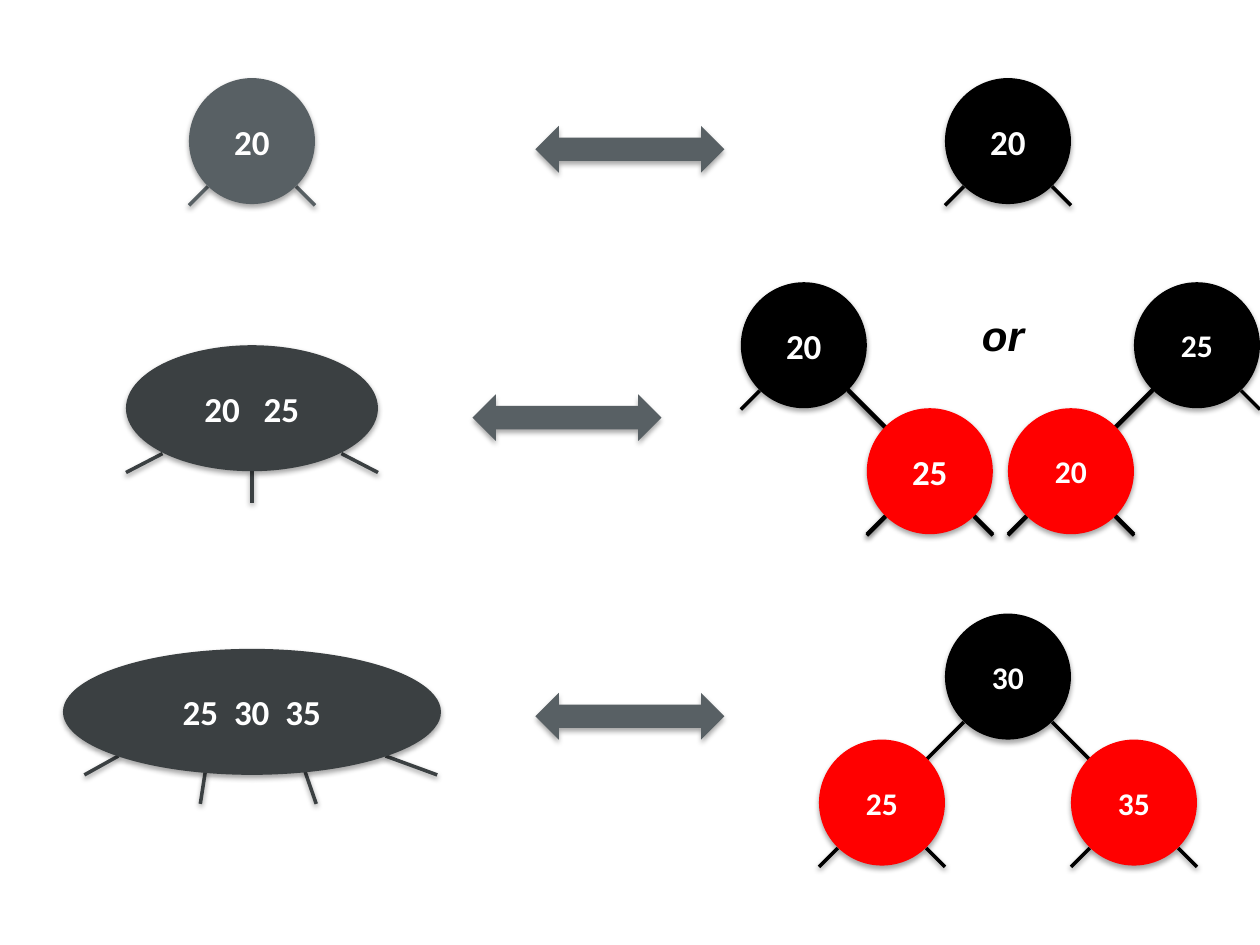
from lxml import etree
from pptx import Presentation
from pptx.dml.color import RGBColor
from pptx.enum.shapes import MSO_CONNECTOR, MSO_SHAPE
from pptx.enum.text import MSO_ANCHOR, PP_ALIGN
from pptx.oxml import parse_xml
from pptx.util import Inches, Pt

COLORS = {"black": "000000", "red": "FF0000", "grey": "586064",
          "dark": "3B4042", "white": "FFFFFF"}
SHADOW = (
    '<a:effectLst xmlns:a="http://schemas.openxmlformats.org/drawingml/2006/main">'
    '<a:outerShdw blurRad="{blur}" dist="{dist}" dir="5400000" rotWithShape="0">'
    '<a:srgbClr val="000000"><a:alpha val="{alpha}"/></a:srgbClr>'
    '</a:outerShdw></a:effectLst>')
LINE_SHADOW = SHADOW.format(blur=Pt(3.1), dist=Pt(1.6), alpha=38000)
SHAPE_SHADOW = SHADOW.format(blur=Pt(3.1), dist=Pt(1.8), alpha=35000)

prs = Presentation()
prs.slide_width, prs.slide_height = Inches(10), Inches(7.5)
shapes = prs.slides.add_slide(prs.slide_layouts[6]).shapes


def add_edge(x1, y1, x2, y2, color):
    """Draw a shadowed tree edge."""
    edge = shapes.add_connector(MSO_CONNECTOR.STRAIGHT, Inches(x1), Inches(y1),
                                Inches(x2), Inches(y2))
    edge.line.color.rgb = RGBColor.from_string(COLORS[color])
    edge.line.width = Pt(2)
    edge._element.spPr.append(parse_xml(LINE_SHADOW))


def add_solid(kind, left, top, width, height, color, text="", size=20):
    """Draw a shadowed shape with optional bold white text."""
    solid = shapes.add_shape(kind, Inches(left), Inches(top),
                             Inches(width), Inches(height))
    solid.fill.solid()
    solid.fill.fore_color.rgb = RGBColor.from_string(COLORS[color])
    solid.line.fill.background()
    solid._element.spPr.append(parse_xml(SHAPE_SHADOW))
    if text:
        solid.text_frame.vertical_anchor = MSO_ANCHOR.MIDDLE
        paragraph = solid.text_frame.paragraphs[0]
        paragraph.alignment = PP_ALIGN.CENTER
        run = paragraph.add_run()
        run.text = text
        run.font.color.rgb = RGBColor.from_string(COLORS["white"])
        for name, value in {"name": "Calibri", "size": Pt(size), "bold": True}.items():
            setattr(run.font, name, value)


# Equivalence arrows: left, top
for left, top in [(4.25, 1), (3.75, 3.13), (4.25, 5.5)]:
    add_solid(MSO_SHAPE.LEFT_RIGHT_ARROW, left, top, 1.5, 0.37, "grey")

# Wide nodes: keys, left, top, width, child edges
wide_nodes = [
    ("20   25", 1, 2.74, 2,
     [(1.29, 3.6, 1, 3.75), (2, 3.74, 2, 3.99), (2.71, 3.6, 3, 3.75)]),
    ("25  30  35", 0.5, 5.15, 3,
     [(0.94, 6, 0.67, 6.15), (1.63, 6.12, 1.59, 6.38),
      (2.42, 6.12, 2.51, 6.38), (3.06, 6, 3.47, 6.15)]),
]
for keys, left, top, width, edges in wide_nodes:
    for edge in edges:
        add_edge(*edge, "dark")
    add_solid(MSO_SHAPE.OVAL, left, top, width, 1, "dark", keys)

# Edge styles: reach in inches, number of strokes
STUB, LINK = (0.15, 1), (0.3, 1)
HEAVY_STUB, HEAVY_LINK = (0.15, 2), (0.3, 2)

# Round nodes: key, left, top, color, text size, left edge, right edge
round_nodes = [
    ("20", 1.5, 0.62, "grey", 20, STUB, STUB),
    ("20", 7.5, 0.62, "black", 20, STUB, STUB),
    ("20", 5.88, 2.24, "black", 20, STUB, HEAVY_LINK),
    ("25", 6.88, 3.24, "red", 20, HEAVY_STUB, HEAVY_STUB),
    ("25", 9, 2.24, "black", 18, HEAVY_LINK, STUB),
    ("20", 8, 3.24, "red", 18, HEAVY_STUB, HEAVY_STUB),
    ("30", 7.5, 4.87, "black", 18, LINK, LINK),
    ("25", 6.5, 5.87, "red", 18, STUB, STUB),
    ("35", 8.5, 5.87, "red", 18, STUB, STUB),
]
for key, left, top, color, size, *edge_styles in round_nodes:
    edge_color = "grey" if color == "grey" else "black"
    for side, (reach, strokes) in zip((-1, 1), edge_styles):
        start_x = left + 0.5 + side * 0.35
        for stroke in range(strokes):
            start_y = top + 0.86 - stroke * 0.01
            add_edge(start_x, start_y, start_x + side * reach,
                     start_y + reach, edge_color)
for key, left, top, color, size, *edge_styles in round_nodes:
    add_solid(MSO_SHAPE.OVAL, left, top, 1, 1, color, key, size)

choice = shapes.add_textbox(Inches(7.67), Inches(2.41), Inches(0.58), Inches(0.5))
choice.text_frame.word_wrap = False
choice_line = choice.text_frame.paragraphs[0]
choice_line.alignment = PP_ALIGN.CENTER
choice_word = choice_line.add_run()
choice_word.text = "or"
choice_word.font.color.rgb = RGBColor.from_string(COLORS["black"])
for name, value in {"name": "Arial", "size": Pt(24), "bold": True, "italic": True}.items():
    setattr(choice_word.font, name, value)

prs.save("out.pptx")
